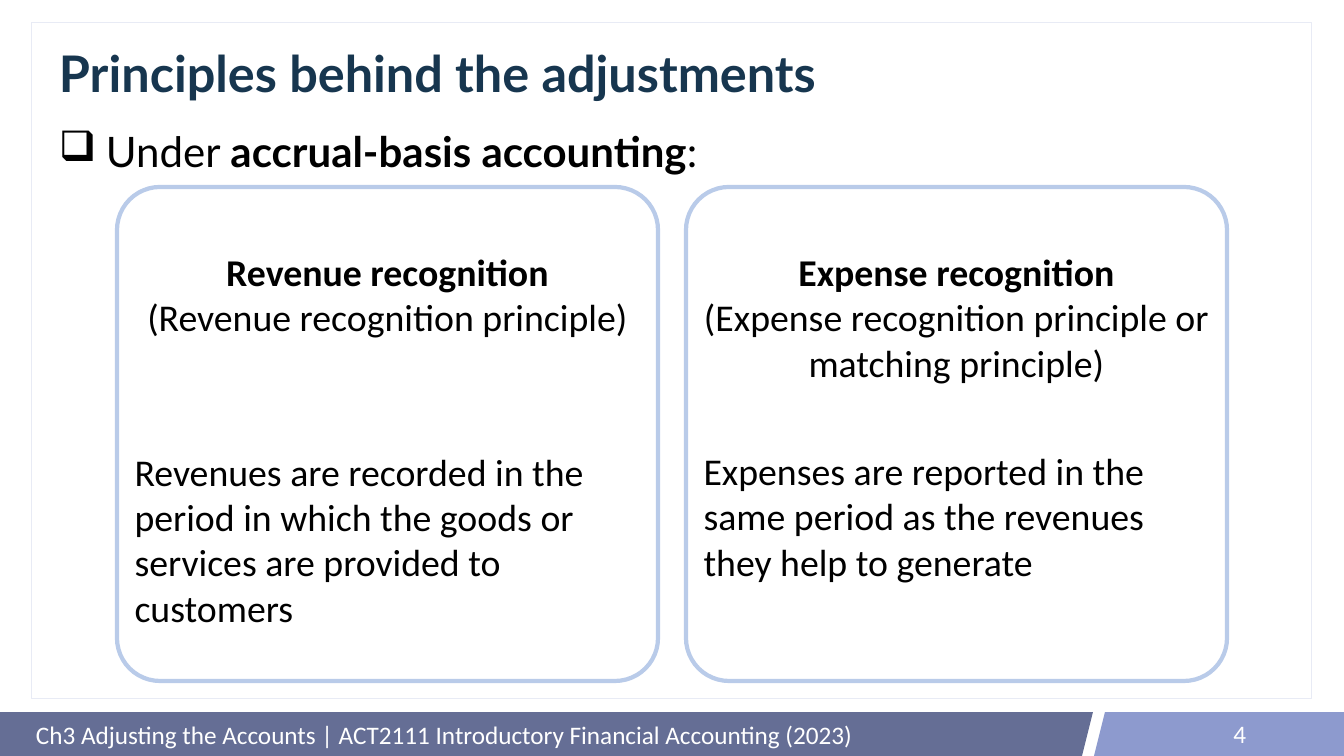
"""Build the accounting slide on the principles behind the adjustments."""
from lxml import etree
from pptx import Presentation
from pptx.dml.color import RGBColor
from pptx.enum.shapes import MSO_SHAPE as SHAPE
from pptx.enum.text import MSO_ANCHOR as ANCHOR, PP_ALIGN as ALIGN
from pptx.oxml.ns import qn
from pptx.util import Pt

PX = 914400 / 50.4
prs = Presentation()
prs.slide_width, prs.slide_height = round(1344 * PX), round(756 * PX)
slide = prs.slides.add_slide(prs.slide_layouts[6])


def add_box(kind, box, fill=None, line=None, line_width=1):
    left, top, width, height = [round(n * PX) for n in box]
    if kind is None:
        shape = slide.shapes.add_textbox(left, top, width, height)
    else:
        shape = slide.shapes.add_shape(kind, left, top, width, height)
        shape.shadow.inherit = False
        shape.fill.solid()
        shape.fill.fore_color.rgb = RGBColor.from_string(fill)
        if line:
            shape.line.color.rgb = RGBColor.from_string(line)
            shape.line.width = Pt(line_width)
        else:
            shape.line.fill.background()
    shape.text_frame.word_wrap = True
    return shape


def add_run(paragraph, text, size, color, font="Calibri", bold=False):
    run = paragraph.add_run()
    run.text = text
    run.font.size, run.font.name, run.font.bold = Pt(size), font, bold
    run.font.color.rgb = RGBColor.from_string(color)


footer_bands = [
    (SHAPE.RECTANGLE, 0, 1005, "656E95"),
    (SHAPE.PARALLELOGRAM, 876, 217, "656E95"),
    (SHAPE.PARALLELOGRAM, 1094, 217, "8D9ACE"),
    (SHAPE.RECTANGLE, 1128, 216, "8D9ACE"),
]
for kind, left, width, fill in footer_bands:
    add_box(kind, (left, 712, width, 44), fill)

frame = add_box(SHAPE.RECTANGLE, (31, 22, 1280, 676), "FFFFFF", "E8EBF5")
frame_color = frame.fill._xPr.find(qn("a:solidFill"))[0]
etree.SubElement(frame_color, qn("a:alpha"), val="85000")

title = add_box(None, (54, 40, 1229, 73)).text_frame
title.vertical_anchor = ANCHOR.MIDDLE
title.paragraphs[0].line_spacing = 0.9
add_run(title.paragraphs[0], "Principles behind the adjustments", 72, "17364F", "Lato", True)

basis = add_box(None, (54, 129, 1229, 553)).text_frame.paragraphs[0]
basis.line_spacing = 0.9
basis_format = basis._p.get_or_add_pPr()
basis_format.set("marL", str(round(47 * PX)))
basis_format.set("indent", str(round(-47 * PX)))
etree.SubElement(basis_format, qn("a:buChar"), char="❑")
for text, bold in [("Under ", False), ("accrual-basis accounting", True), (":", False)]:
    add_run(basis, text, 60, "000000", "Lato", bold)

principles = [
    ("Revenue recognition", "(Revenue recognition principle)", 156,
     "Revenues are recorded in the period in which the goods or services are provided to customers"),
    ("Expense recognition", "(Expense recognition principle or matching principle)", 90,
     "Expenses are reported in the same period as the revenues they help to generate"),
]
for column, (heading, principle, gap, rule) in enumerate(principles):
    card = add_box(SHAPE.ROUNDED_RECTANGLE, (117 + 569 * column, 187, 541, 494),
                   "FFFFFF", "B9CBE9", 6)
    card.adjustments[0] = 0.087
    card_text = card.text_frame
    card_text.vertical_anchor = ANCHOR.TOP
    card_text.margin_top = round(49 * PX)
    lines = [(heading, True, ALIGN.CENTER, 0), (principle, False, ALIGN.CENTER, 0),
             (rule, False, ALIGN.LEFT, gap)]
    for index, (text, bold, align, space) in enumerate(lines):
        paragraph = card_text.add_paragraph() if index else card_text.paragraphs[0]
        paragraph.alignment = align
        if space:
            paragraph.space_before = Pt(space)
        add_run(paragraph, text, 54, "000000", bold=bold)

footer_texts = [
    ("Ch3 Adjusting the Accounts | ACT2111 Introductory Financial Accounting (2023)",
     (31, 713, 1038, 43), ALIGN.LEFT),
    ("4", (949, 713, 302, 40), ALIGN.RIGHT),
]
for text, box, align in footer_texts:
    footer = add_box(None, box).text_frame
    footer.vertical_anchor = ANCHOR.MIDDLE
    footer.paragraphs[0].alignment = align
    add_run(footer.paragraphs[0], text, 36, "FFFFFF")

prs.save("out.pptx")
